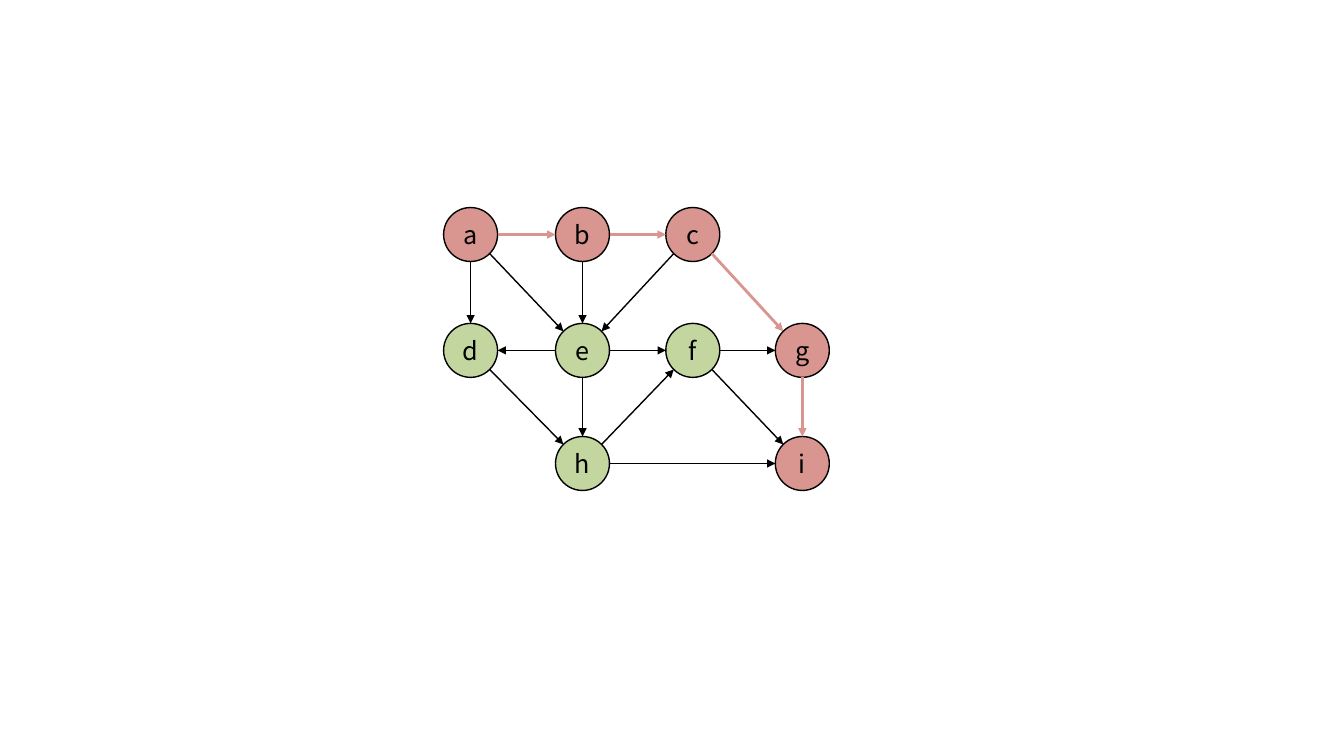
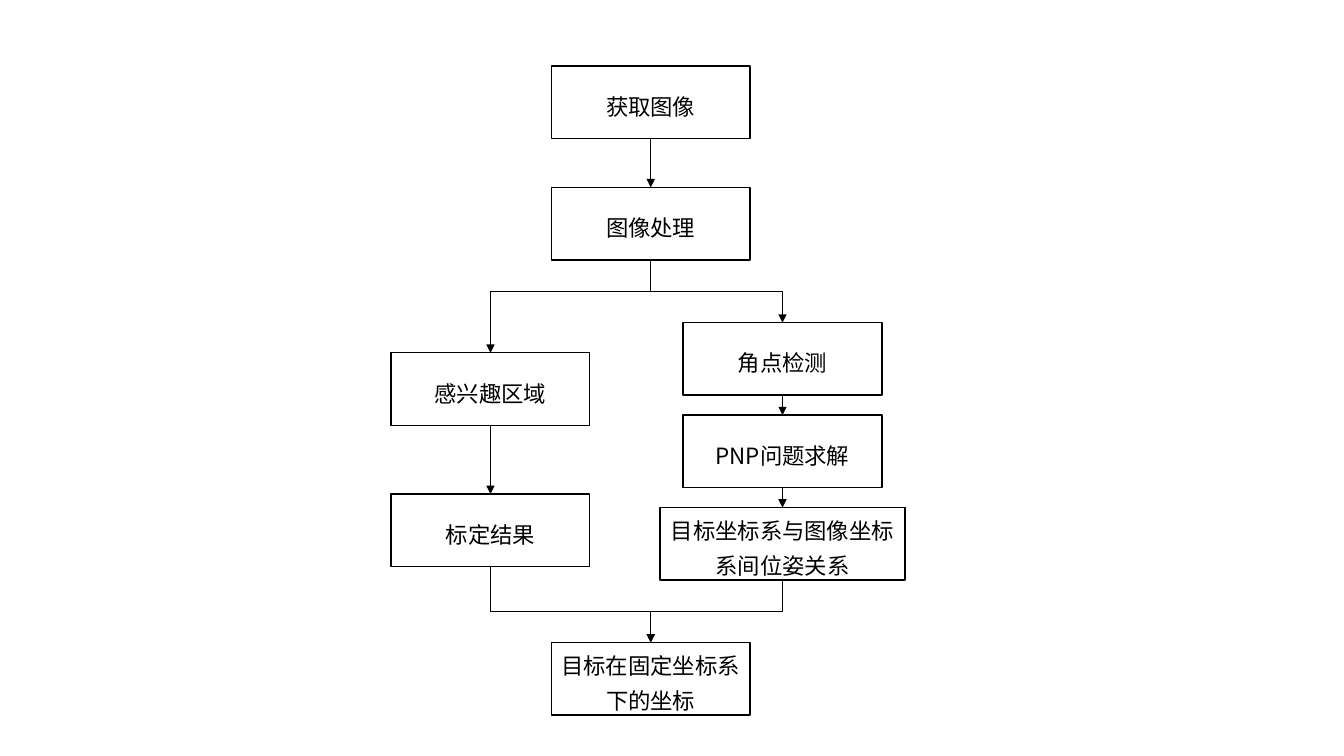
from math import hypot

from lxml.etree import SubElement
from pptx import Presentation
from pptx.dml.color import RGBColor
from pptx.enum.shapes import MSO_CONNECTOR, MSO_SHAPE
from pptx.enum.text import MSO_ANCHOR, PP_ALIGN
from pptx.oxml.ns import qn
from pptx.util import Cm, Pt

# Shared style
FONT = "Noto Sans CJK SC"
BLACK, WHITE, RED, GREEN = "000000", "FFFFFF", "D9958F", "C4D6A0"

# Graph: node centres on a grid (cm), nodes as (column, row)
COLUMNS = [11.86, 14.68, 17.46, 20.22]
ROWS = [5.91, 8.83, 11.68]
DIAMETER = 1.36
NODES = {
    "a": (0, 0), "b": (1, 0), "c": (2, 0),
    "d": (0, 1), "e": (1, 1), "f": (2, 1), "g": (3, 1),
    "h": (1, 2), "i": (3, 2),
}
RED_PATH = "abcgi"
RED_EDGES = [start + end for start, end in zip(RED_PATH, RED_PATH[1:])]
BLACK_EDGES = ["ad", "ae", "be", "ce", "ed", "ef", "eh", "dh", "fg", "fi", "hf", "hi"]

# Flowchart: name -> (text, centre, top, width), in cm
LEFT, MIDDLE, RIGHT = 12.36, 16.4, 19.72
BOX_WIDTH, BOX_HEIGHT = 5.01, 1.83
STEPS = {
    "capture": ("获取图像", MIDDLE, 1.66, BOX_WIDTH),
    "process": ("图像处理", MIDDLE, 4.72, BOX_WIDTH),
    "region": ("感兴趣区域", LEFT, 8.89, BOX_WIDTH),
    "calibration": ("标定结果", LEFT, 12.45, BOX_WIDTH),
    "corners": ("角点检测", RIGHT, 8.13, BOX_WIDTH),
    "pnp": ("PNP问题求解", RIGHT, 10.46, BOX_WIDTH),
    "pose": ("目标坐标系与图像坐标系间位姿关系", RIGHT, 12.79, 6.18),
    "target": ("目标在固定坐标系下的坐标", MIDDLE, 16.19, BOX_WIDTH),
}
STRAIGHT_FLOWS = [
    ("capture", "process"), ("region", "calibration"),
    ("corners", "pnp"), ("pnp", "pose"),
]
SPLIT_Y, MERGE_Y = 7.34, 15.4
BENT_FLOWS = [
    ("process", "region", SPLIT_Y), ("process", "corners", SPLIT_Y),
    ("calibration", "target", MERGE_Y), ("pose", "target", MERGE_Y),
]


def color(value):
    return RGBColor.from_string(value)


def add_label_shape(slide, kind, box, text, fill, size, margin, spacing=None):
    shape = slide.shapes.add_shape(kind, *[Cm(value) for value in box])
    shape.shadow.inherit = False
    shape.fill.solid()
    shape.fill.fore_color.rgb = color(fill)
    shape.line.color.rgb = color(BLACK)
    shape.line.width = Pt(1)
    frame = shape.text_frame
    frame.word_wrap = True
    frame.vertical_anchor = MSO_ANCHOR.MIDDLE
    frame.margin_left = frame.margin_right = Cm(margin)
    paragraph = frame.paragraphs[0]
    paragraph.alignment = PP_ALIGN.CENTER
    paragraph.line_spacing = spacing
    run = paragraph.add_run()
    run.text = text
    run.font.size = Pt(size)
    run.font.color.rgb = color(BLACK)
    run.font.name = FONT
    SubElement(run.font._element, qn("a:ea"), typeface=FONT)
    return shape


def add_arrow(slide, kind, start, end, line_color, width):
    connector = slide.shapes.add_connector(
        kind, *[Cm(value) for value in (*start, *end)])
    connector.line.color.rgb = color(line_color)
    connector.line.width = Pt(width)
    properties = connector.element.spPr
    SubElement(properties.find(qn("a:ln")), qn("a:tailEnd"), type="triangle")
    SubElement(properties, qn("a:effectLst"))
    return connector


def sign(value):
    return (value > 0) - (value < 0)


def add_edge(slide, edge, line_color, width):
    """Join two circles at the nearest of their eight compass points."""
    (column1, row1), (column2, row2) = [NODES[name] for name in edge]
    across, down = sign(column2 - column1), sign(row2 - row1)
    reach = DIAMETER / 2 / hypot(across, down)
    start = (COLUMNS[column1] + across * reach, ROWS[row1] + down * reach)
    end = (COLUMNS[column2] - across * reach, ROWS[row2] - down * reach)
    add_arrow(slide, MSO_CONNECTOR.STRAIGHT, start, end, line_color, width)


def add_flow(slide, boxes, source, target, bend_y=None):
    """Join bottom to top; with bend_y the arrow turns at that height."""
    _, x1, top, _ = STEPS[source]
    y1 = top + BOX_HEIGHT
    _, x2, y2, _ = STEPS[target]
    kind = MSO_CONNECTOR.ELBOW if bend_y else MSO_CONNECTOR.STRAIGHT
    connector = add_arrow(slide, kind, (x1, y1), (x2, y2), BLACK, 0.5)
    connector.begin_connect(boxes[source], 2)
    connector.end_connect(boxes[target], 0)
    if not bend_y:
        return
    # A quarter turn makes the elbow leave and arrive vertically
    length, span = y2 - y1, abs(x2 - x1)
    connector.left = Cm((x1 + x2 - length) / 2)
    connector.top = Cm((y1 + y2 - span) / 2)
    connector.width, connector.height = Cm(length), Cm(span)
    properties = connector.element.spPr
    transform = properties.find(qn("a:xfrm"))
    rightward = x2 > x1
    transform.set("rot", str((270 if rightward else 90) * 60000))
    transform.set("flipH", "1" if rightward else "0")
    transform.set("flipV", "0")
    geometry = properties.find(qn("a:prstGeom"))
    adjustments = geometry.find(qn("a:avLst"))
    if adjustments is None:
        adjustments = SubElement(geometry, qn("a:avLst"))
    share = round((bend_y - y1) / length * 100000)
    SubElement(adjustments, qn("a:gd"), name="adj1", fmla=f"val {share}")


def build_graph(slide):
    for name, (column, row) in NODES.items():
        box = (COLUMNS[column] - DIAMETER / 2, ROWS[row] - DIAMETER / 2,
               DIAMETER, DIAMETER)
        fill = RED if name in RED_PATH else GREEN
        add_label_shape(slide, MSO_SHAPE.OVAL, box, name, fill, 18, 0)
    for edge in BLACK_EDGES:
        add_edge(slide, edge, BLACK, 1)
    for edge in RED_EDGES:
        add_edge(slide, edge, RED, 2)


def build_flowchart(slide):
    boxes = {}
    for name, (text, centre, top, width) in STEPS.items():
        box = (centre - width / 2, top, width, BOX_HEIGHT)
        boxes[name] = add_label_shape(
            slide, MSO_SHAPE.RECTANGLE, box, text, WHITE, 16, 0.2, 1.3)
    for flow in STRAIGHT_FLOWS + BENT_FLOWS:
        add_flow(slide, boxes, *flow)


def main():
    presentation = Presentation()
    presentation.slide_width, presentation.slide_height = Cm(33.87), Cm(19.05)
    blank = presentation.slide_layouts[6]
    for build in (build_graph, build_flowchart):
        build(presentation.slides.add_slide(blank))
    presentation.save("out.pptx")


if __name__ == "__main__":
    main()
